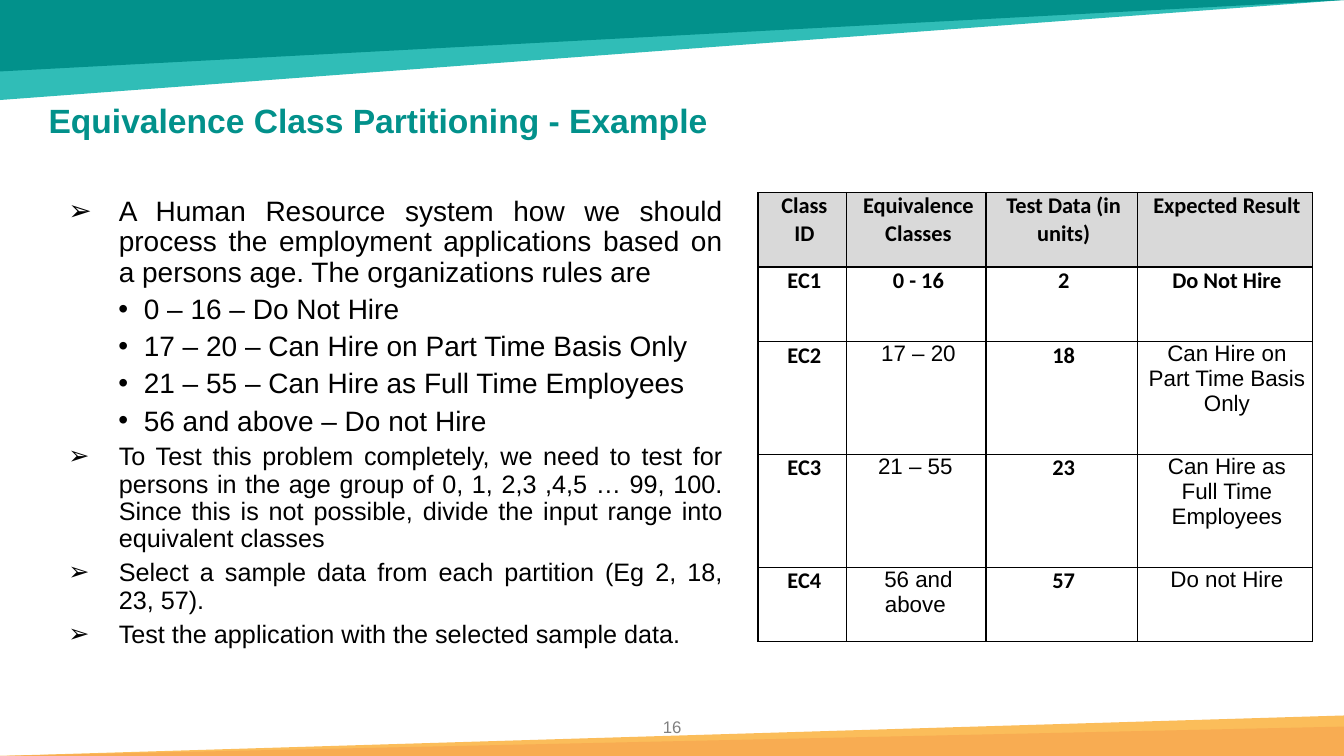
"""Builds the slide on equivalence class partitioning."""
from lxml.etree import SubElement as Sub
from pptx import Presentation
from pptx.dml.color import RGBColor
from pptx.enum.shapes import MSO_SHAPE as Shape
from pptx.enum.text import MSO_ANCHOR as Anchor, MSO_AUTO_SIZE as Auto, PP_ALIGN as Align
from pptx.oxml.ns import qn
from pptx.util import Cm, Pt

TEAL = RGBColor(0x02, 0x91, 0x8B)
AQUA = RGBColor(0x30, 0xBD, 0xB7)
GOLD = RGBColor(0xFB, 0xBD, 0x5A)
ORANGE = RGBColor(0xF8, 0xAC, 0x52)
GREY = RGBColor(0x80, 0x80, 0x80)
SILVER = RGBColor(0xD9, 0xD9, 0xD9)
BLACK = RGBColor(0, 0, 0)


def style(par, size, color, bold=False, face="Arial"):
    for run in par.runs:
        font = run.font
        font.name, font.size, font.bold = face, Pt(size), bold
        font.color.rgb = color


def place(item, left, top, width, height):
    item.left, item.top = Cm(left), Cm(top)
    item.width, item.height = Cm(width), Cm(height)


deck = Presentation()
deck.slide_width, deck.slide_height = Cm(33.87), Cm(19.05)
slide = deck.slides.add_slide(deck.slide_layouts[1])
shapes = slide.shapes

bands = [
    (0, 2.52, 180, AQUA),
    (0, 1.8, 180, TEAL),
    (18.03, 1.02, 0, GOLD),
    (18.31, 0.74, 0, ORANGE),
]
for top, height, turn, color in bands:
    band = shapes.add_shape(Shape.RIGHT_TRIANGLE, 0, Cm(top), deck.slide_width, Cm(height))
    band.rotation = turn
    band.element.spPr.find(qn("a:xfrm")).set("flipH", "1")
    band.shadow.inherit = False
    band.fill.solid()
    band.fill.fore_color.rgb = color
    band.line.fill.background()

number = shapes.add_textbox(Cm(16.1), Cm(17.93), Cm(1.68), Cm(0.76)).text_frame
number.word_wrap = True
number.text = "16"
number.paragraphs[0].alignment = Align.CENTER
style(number.paragraphs[0], 12, GREY)

title = shapes.title
place(title, 0.97, 2.57, 22.33, 1.02)
frame = title.text_frame
frame.text = "Equivalence Class Partitioning - Example"
frame.auto_size = Auto.NONE
frame.vertical_anchor = Anchor.MIDDLE
frame.paragraphs[0].alignment = Align.LEFT
frame.paragraphs[0].line_spacing = 0.9
style(frame.paragraphs[0], 24, TEAL, True)

points = [
    (0, 20, "A Human Resource system how we should process the employment applications "
            "based on a persons age. The organizations rules are "),
    (1, 20, "0 – 16 – Do Not Hire"),
    (1, 20, "17 – 20 – Can Hire on Part Time Basis Only"),
    (1, 20, "21 – 55 – Can Hire as Full Time Employees"),
    (1, 20, "56 and above – Do not Hire"),
    (0, 18, "To Test this problem completely, we need to test for persons in the age group of "
            "0, 1, 2,3 ,4,5 … 99, 100. Since this is not possible, divide the input range "
            "into equivalent classes"),
    (0, 18, "Select a sample data from each partition (Eg 2, 18, 23, 57)."),
    (0, 18, "Test the application with the selected sample data."),
]
marks = [("➢", 1.27, 1.27), ("•", 1.9, 0.64)]
body = slide.placeholders[1]
place(body, 1.47, 4.85, 17, 12.1)
frame = body.text_frame
frame.text = "\n".join(text for _, _, text in points)
frame.auto_size = Auto.NONE
frame.vertical_anchor = Anchor.TOP
for par, (level, size, _) in zip(frame.paragraphs, points):
    mark, left, hang = marks[level]
    par.level = level
    par.alignment = Align.JUSTIFY
    par.line_spacing = 0.9
    par.space_before = Pt(5)
    style(par, size, BLACK)
    props = par._p.get_or_add_pPr()
    props.set("marL", str(Cm(left)))
    props.set("indent", str(-Cm(hang)))
    Sub(props, qn("a:buFont"), typeface="Arial")
    Sub(props, qn("a:buChar"), char=mark)

rows = [
    ("Class ID", "Equivalence Classes", "Test Data (in units)", "Expected Result"),
    ("EC1", "0 - 16", "2", "Do Not Hire"),
    ("EC2", "17 – 20", "18", "Can Hire on Part Time Basis Only"),
    ("EC3", "21 – 55 ", "23", "Can Hire as Full Time Employees"),
    ("EC4", "56 and above ", "57", "Do not Hire"),
]
widths = [2.24, 3.51, 3.81, 4.42]
heights = [1.88, 1.88, 2.84, 2.84, 1.88]
grid = shapes.add_table(5, 4, Cm(19.1), Cm(4.85), Cm(sum(widths)), Cm(sum(heights))).table
grid.first_row = grid.horz_banding = False
for col, width in zip(grid.columns, widths):
    col.width = Cm(width)
for r, texts in enumerate(rows):
    grid.rows[r].height = Cm(heights[r])
    for c, text in enumerate(texts):
        cell = grid.cell(r, c)
        cell.text = text
        cell.margin_left = cell.margin_right = Cm(0.18)
        cell.margin_top = cell.margin_bottom = 0
        par = cell.text_frame.paragraphs[0]
        par.alignment = Align.CENTER
        par.space_before = par.space_after = Pt(3)
        par._p.get_or_add_pPr().set("marL", str(Cm(0.1)))
        plain = r > 1 and c in (1, 3)
        style(par, 16, BLACK, not plain, "Arial" if plain else "Calibri")
        props = cell._tc.get_or_add_tcPr()
        for side in ("lnL", "lnR", "lnT", "lnB"):
            edge = Sub(props, qn("a:" + side), w=str(Pt(1)))
            Sub(Sub(edge, qn("a:solidFill")), qn("a:srgbClr"), val=str(BLACK))
        if r == 0:
            cell.fill.solid()
            cell.fill.fore_color.rgb = SILVER
        else:
            cell.fill.background()

deck.save("out.pptx")
